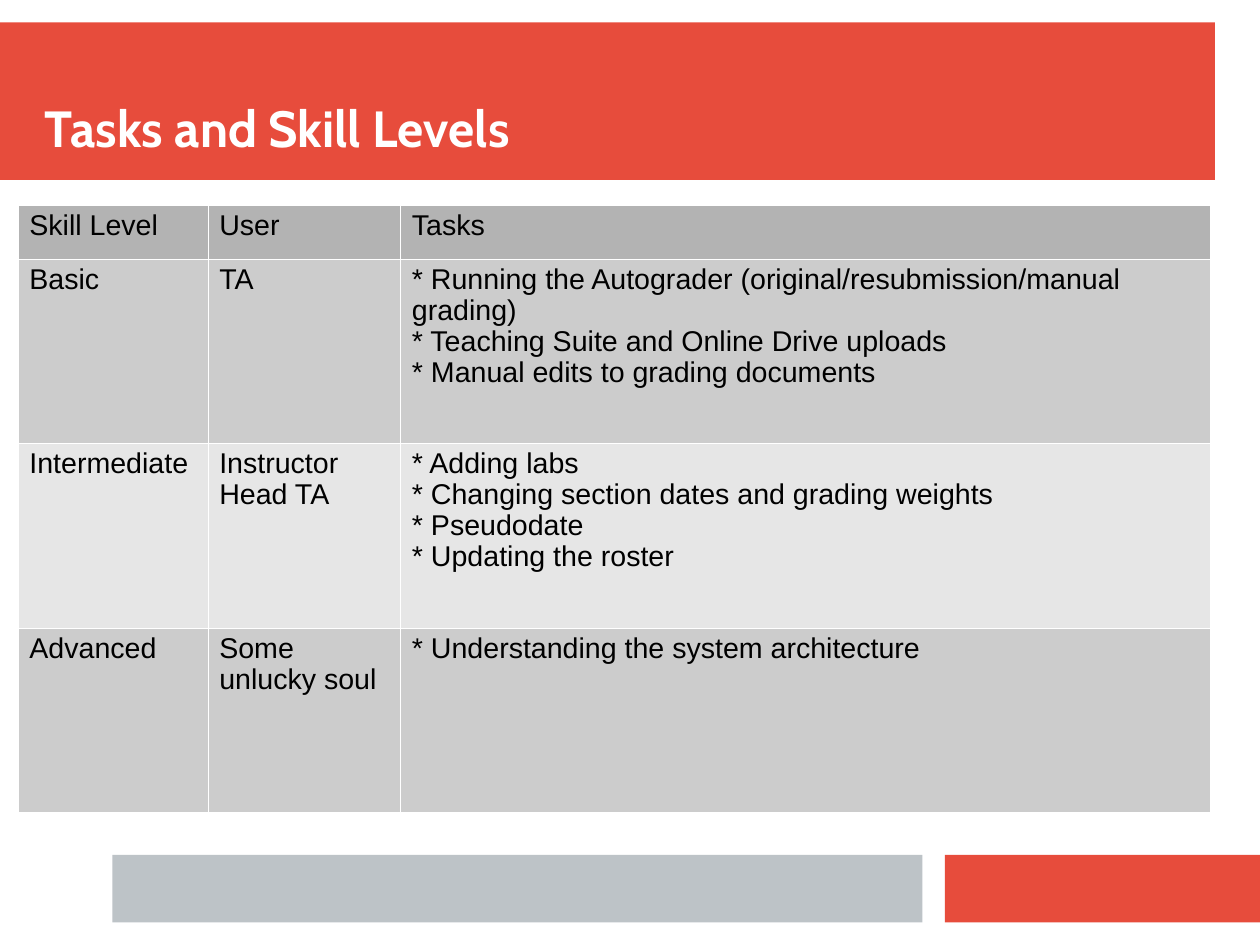
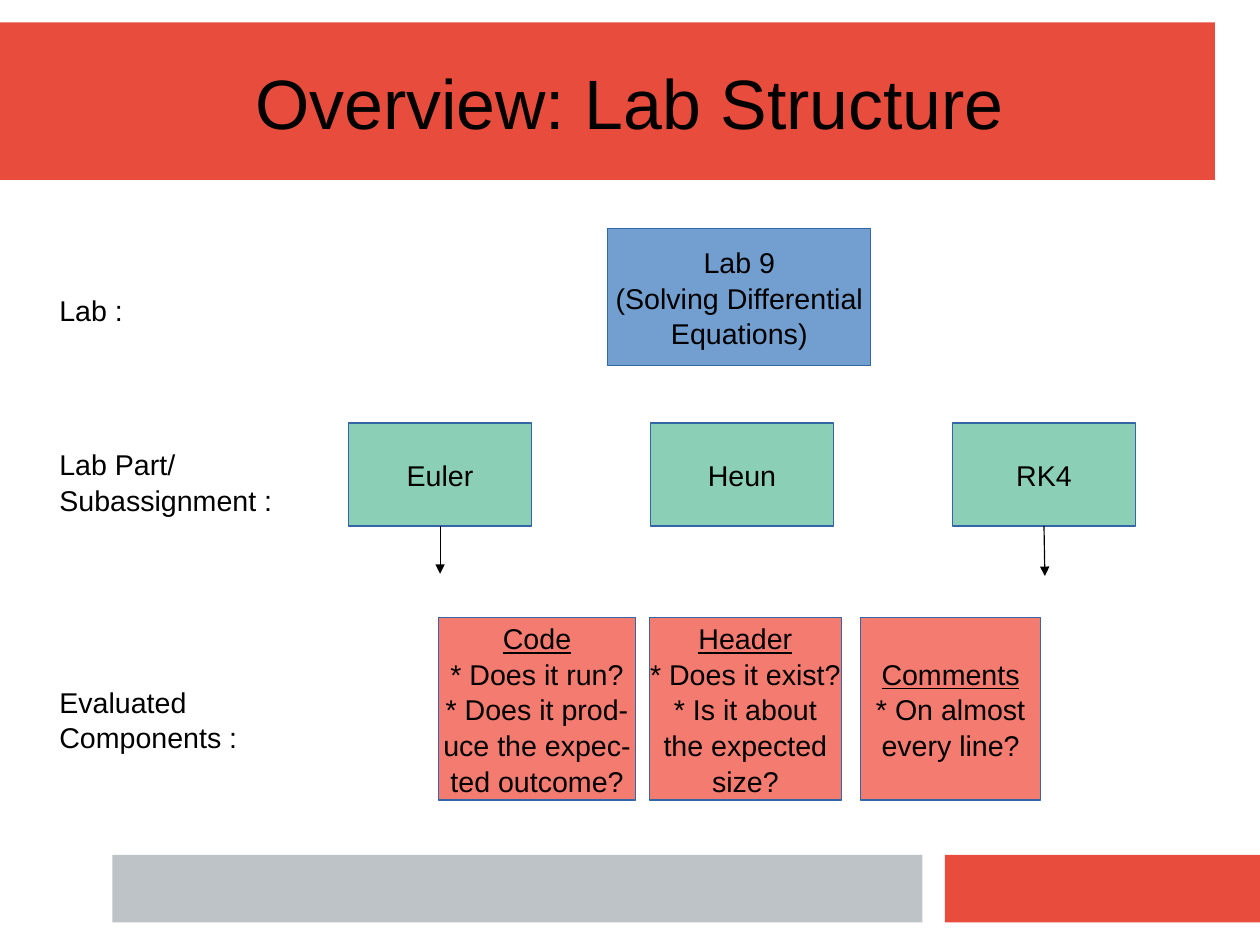
import pptx
import pptx.dml.color
import pptx.enum.shapes
import pptx.enum.text
import pptx.oxml
import pptx.oxml.ns
import pptx.util
from dataclasses import dataclass
from typing import Optional

RGBColor = pptx.dml.color.RGBColor
Align = pptx.enum.text.PP_ALIGN
Anchor = pptx.enum.text.MSO_ANCHOR
Shape = pptx.enum.shapes.MSO_SHAPE

# Grid: 28 columns by 21 rows of one centimetre
COLUMNS, ROWS = 28, 21
CELL = pptx.util.Cm(1)

# Colours
RED = RGBColor(0xE7, 0x4C, 0x3C)
SILVER = RGBColor(0xBD, 0xC3, 0xC7)
WHITE = RGBColor(0xFF, 0xFF, 0xFF)
BLACK = RGBColor(0, 0, 0)
HEADER_GREY = RGBColor(0xB3, 0xB3, 0xB3)
ROW_GREYS = (RGBColor(0xE6, 0xE6, 0xE6), RGBColor(0xCC, 0xCC, 0xCC))
LAB_BLUE = RGBColor(0x72, 0x9F, 0xCF)
PART_GREEN = RGBColor(0x8C, 0xCF, 0xB7)
COMPONENT_RED = RGBColor(0xF3, 0x7B, 0x70)
OUTLINE = RGBColor(0x34, 0x65, 0xA4)

BODY_FONT, BODY_SIZE = "Arial", 18
TABLE_SPACING, DIAGRAM_SPACING = 0.97, 1.04


@dataclass(frozen=True)
class Area:
    """A rectangle in grid columns and rows."""
    col: float
    row: float
    cols: float
    rows: float

    def emu(self) -> tuple:
        return tuple(cells(n) for n in (self.col, self.row, self.cols, self.rows))


@dataclass(frozen=True)
class Box:
    area: Area
    fill: RGBColor
    text: str
    heading: Optional[str] = None


@dataclass(frozen=True)
class Label:
    area: Area
    text: str


@dataclass(frozen=True)
class TitleStyle:
    font: str
    size: int
    color: RGBColor
    bold: bool
    align: Align
    anchor: Anchor


BANDS = (
    (Area(0, 0.5, 27, 3.5), RED),
    (Area(21, 19, 7, 1.5), RED),
    (Area(2.5, 19, 18, 1.5), SILVER),
)
TITLE_AREA = Area(1, 1, 26, 2.5)
LEFT_TITLE = TitleStyle("Cabin", 32, WHITE, True, Align.LEFT, Anchor.BOTTOM)
CENTRED_TITLE = TitleStyle("Arial", 44, BLACK, False, Align.CENTER, Anchor.MIDDLE)

# Table content
TABLE_COLS = (4.22, 4.28, 18)
TABLE_ROWS = (1.2, 4.1, 4.1, 4.1)
SKILLS = (
    ("Skill Level", "User", "Tasks"),
    ("Basic", "TA",
     "* Running the Autograder (original/resubmission/manual grading)\n"
     "* Teaching Suite and Online Drive uploads\n"
     "* Manual edits to grading documents"),
    ("Intermediate", "Instructor\nHead TA",
     "* Adding labs\n* Changing section dates and grading weights\n"
     "* Pseudodate\n* Updating the roster"),
    ("Advanced", "Some unlucky soul", "* Understanding the system architecture"),
)

# Diagram content
LAB = Box(Area(13.51, 5.08, 5.84, 3.05), LAB_BLUE,
          "Lab 9\n(Solving Differential\nEquations)")
PARTS = tuple(
    Box(Area(7.75 + 6.71 * i, 9.4, 4.06, 2.29), PART_GREEN, name)
    for i, name in enumerate(("Euler", "Heun", "RK4")))
COMPONENTS = tuple(
    Box(Area(col, 13.72, cols, 4.06), COMPONENT_RED, text, heading)
    for col, cols, heading, text in (
        (9.75, 4.37, "Code",
         "* Does it run?\n* Does it prod-\nuce the expec-\nted outcome?"),
        (14.43, 4.27, "Header",
         "* Does it exist?\n* Is it about\nthe expected\nsize?"),
        (19.13, 3.99, "Comments", "* On almost\nevery line?"),
    ))
LABELS = (
    Label(Area(1.07, 6.35, 2.79, 0.97), "Lab :"),
    Label(Area(1.07, 9.78, 5.33, 2.36), "Lab Part/\nSubassignment :"),
    Label(Area(1.07, 15.06, 5.08, 1.65), "Evaluated Components :"),
)
# Index of the part each arrow leaves, and the point it reaches
ARROWS = ((0, 9.78, 12.75), (2, 23.22, 12.8))


def cells(count: float) -> int:
    return round(count * CELL)


def style_paragraph(paragraph, font: str = BODY_FONT, size: int = BODY_SIZE,
                    color: RGBColor = BLACK, bold: bool = False,
                    align: Align = Align.LEFT, spacing: float = 1.0) -> None:
    paragraph.alignment = align
    paragraph.line_spacing = spacing
    for run in paragraph.runs:
        run.font.name = font
        run.font.size = pptx.util.Pt(size)
        run.font.color.rgb = color
        run.font.bold = bold


def add_rect(slide, area: Area, fill: RGBColor, kind: Shape = Shape.RECTANGLE):
    rect = slide.shapes.add_shape(kind, *area.emu())
    rect.shadow.inherit = False
    rect.fill.solid()
    rect.fill.fore_color.rgb = fill
    rect.line.fill.background()
    return rect


def move_bands_to_layout(slide) -> None:
    """Draw the bands once and keep them on the shared layout."""
    layout_tree = slide.slide_layout.shapes.element
    for position, (area, fill) in enumerate(BANDS, start=2):
        layout_tree.insert(position, add_rect(slide, area, fill).element)


def set_title(slide, text: str, style: TitleStyle) -> None:
    title = slide.shapes.title
    title.left, title.top, title.width, title.height = TITLE_AREA.emu()
    frame = title.text_frame
    frame.text = text
    frame.auto_size = pptx.enum.text.MSO_AUTO_SIZE.NONE
    frame.vertical_anchor = style.anchor
    frame.margin_left = frame.margin_right = 0
    frame.margin_top = frame.margin_bottom = 0
    style_paragraph(frame.paragraphs[0], style.font, style.size, style.color,
                    style.bold, style.align)


def set_cell_borders(cell) -> None:
    properties = cell._tc.get_or_add_tcPr()
    for position, side in enumerate(("lnL", "lnR", "lnT", "lnB")):
        properties.insert(position, pptx.oxml.parse_xml(
            f'<a:{side} {pptx.oxml.ns.nsdecls("a")} w="720"><a:solidFill>'
            f'<a:srgbClr val="{WHITE}"/></a:solidFill></a:{side}>'))


def add_skill_table(slide) -> None:
    area = Area(0.4, 4.55, sum(TABLE_COLS), sum(TABLE_ROWS))
    table = slide.shapes.add_table(
        len(TABLE_ROWS), len(TABLE_COLS), *area.emu()).table
    table.first_row = table.horz_banding = False
    for column, width in zip(table.columns, TABLE_COLS):
        column.width = cells(width)
    for r, (row, height) in enumerate(zip(table.rows, TABLE_ROWS)):
        row.height = cells(height)
        for cell, text in zip(row.cells, SKILLS[r]):
            cell.text_frame.text = text
            for paragraph in cell.text_frame.paragraphs:
                style_paragraph(paragraph, spacing=TABLE_SPACING)
            cell.fill.solid()
            cell.fill.fore_color.rgb = ROW_GREYS[r % 2] if r else HEADER_GREY
            set_cell_borders(cell)


def add_box(slide, box: Box):
    shape = add_rect(slide, box.area, box.fill, Shape.FLOWCHART_PROCESS)
    shape.line.color.rgb = OUTLINE
    shape.line.width = pptx.util.Pt(0.75)
    frame = shape.text_frame
    frame.word_wrap = False
    frame.vertical_anchor = Anchor.MIDDLE
    body = frame.paragraphs[0]
    if box.heading:
        body.text = box.heading
        body.runs[0].font.underline = True
        body = frame.add_paragraph()
    body.text = box.text
    for paragraph in frame.paragraphs:
        style_paragraph(paragraph, align=Align.CENTER, spacing=DIAGRAM_SPACING)
    return shape


def add_label(slide, label: Label) -> None:
    frame = slide.shapes.add_textbox(*label.area.emu()).text_frame
    frame.word_wrap = True
    frame.paragraphs[0].text = label.text
    style_paragraph(frame.paragraphs[0], spacing=DIAGRAM_SPACING)


def add_arrow(slide, source, col: float, row: float) -> None:
    arrow = slide.shapes.add_connector(
        pptx.enum.shapes.MSO_CONNECTOR.STRAIGHT, 0, 0, cells(col), cells(row))
    arrow.begin_connect(source, 2)
    arrow.line.color.rgb = BLACK
    arrow.line.width = pptx.util.Pt(0.75)
    namespace = pptx.oxml.ns.nsdecls("a")
    arrow.line._get_or_add_ln().append(
        pptx.oxml.parse_xml(f'<a:tailEnd {namespace} type="triangle"/>'))
    arrow.element.spPr.append(pptx.oxml.parse_xml(f"<a:effectLst {namespace}/>"))


def main() -> None:
    deck = pptx.Presentation()
    deck.slide_width, deck.slide_height = cells(COLUMNS), cells(ROWS)
    title_only = deck.slide_layouts[5]

    # Skill levels
    skills = deck.slides.add_slide(title_only)
    move_bands_to_layout(skills)
    set_title(skills, "Tasks and Skill Levels", LEFT_TITLE)
    add_skill_table(skills)

    # Lab structure
    structure = deck.slides.add_slide(title_only)
    set_title(structure, "Overview: Lab Structure", CENTRED_TITLE)
    add_box(structure, LAB)
    parts = [add_box(structure, part) for part in PARTS]
    for component in COMPONENTS:
        add_box(structure, component)
    for part, col, row in ARROWS:
        add_arrow(structure, parts[part], col, row)
    for label in LABELS:
        add_label(structure, label)

    deck.save("out.pptx")


if __name__ == "__main__":
    main()
